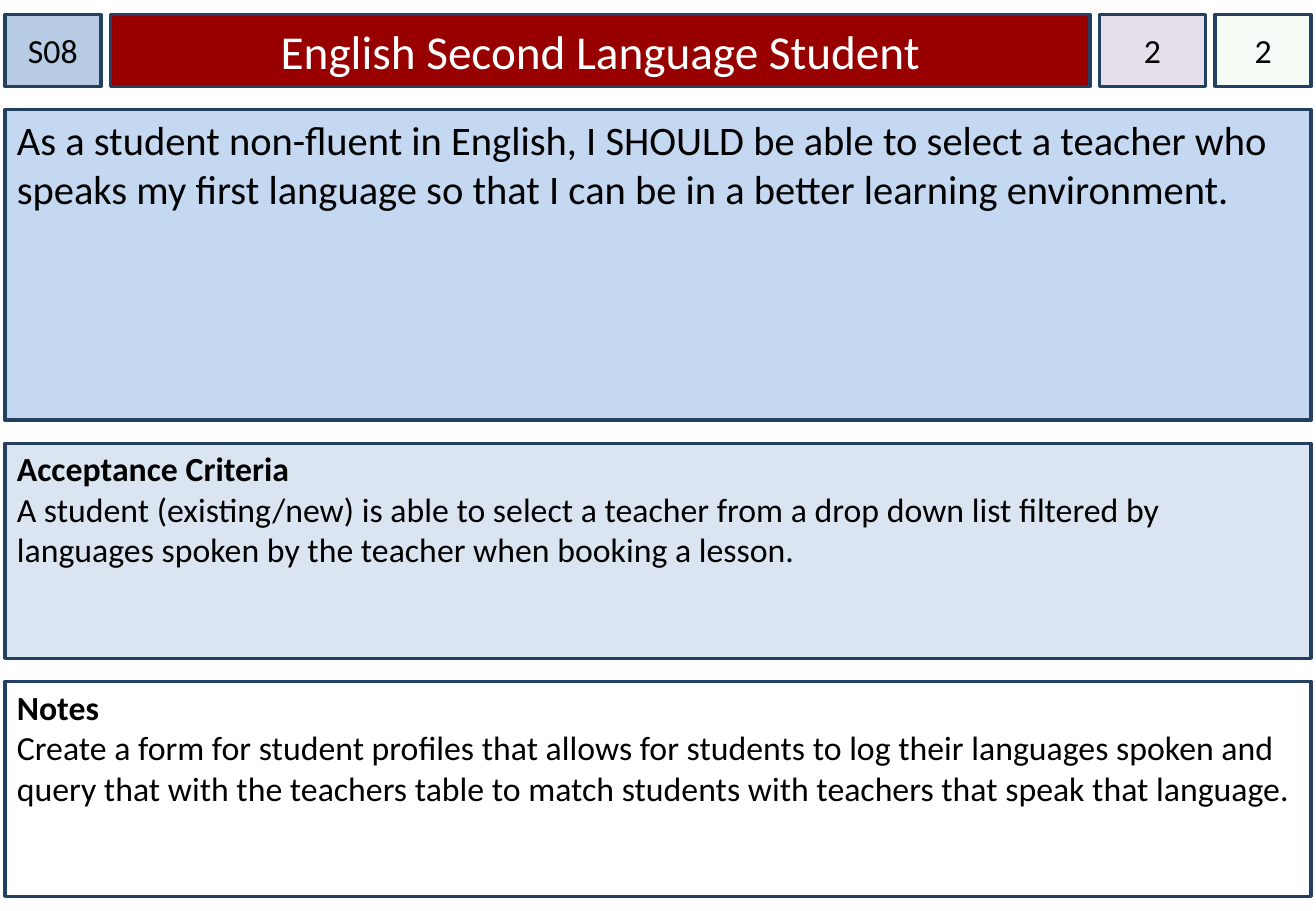
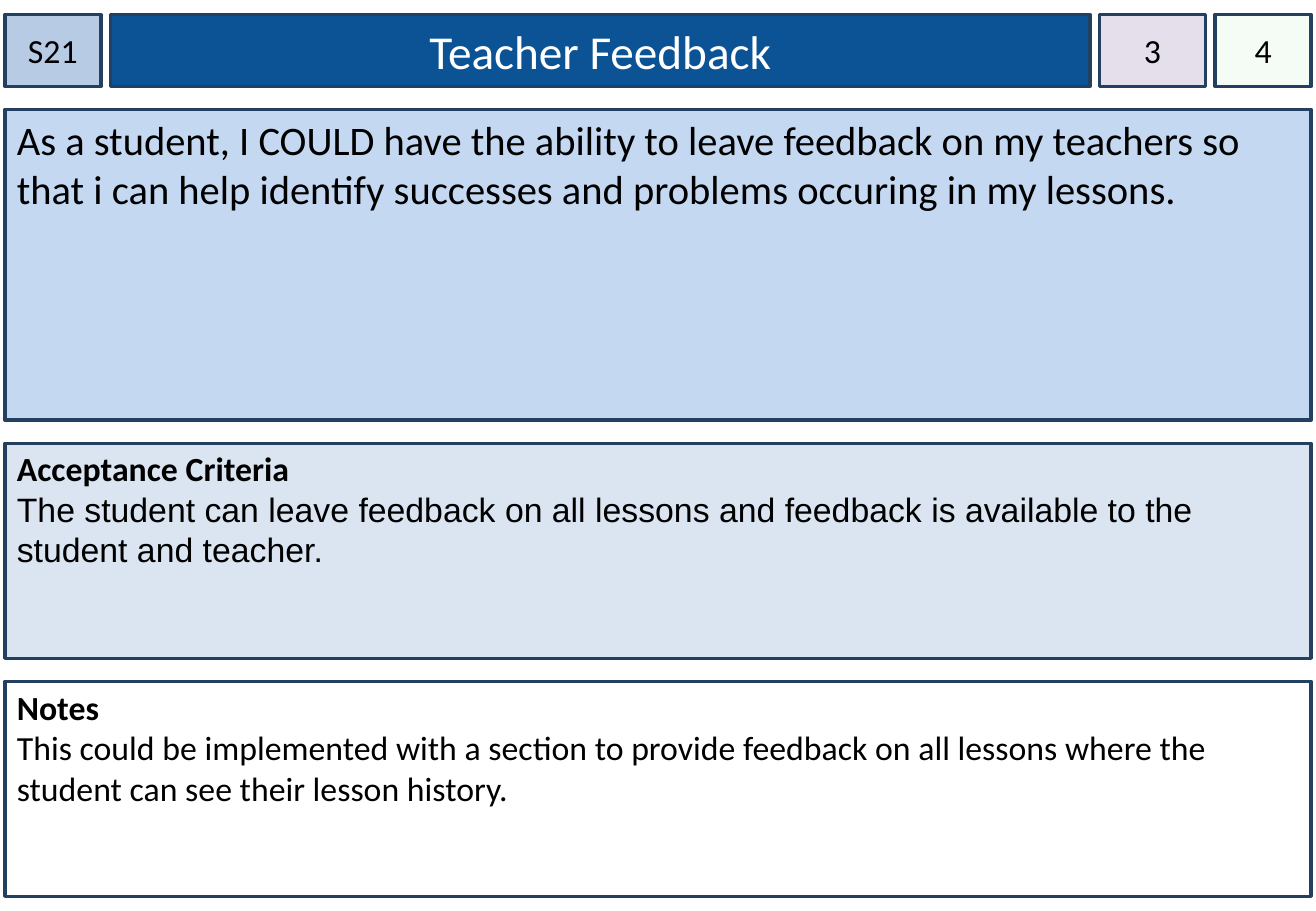
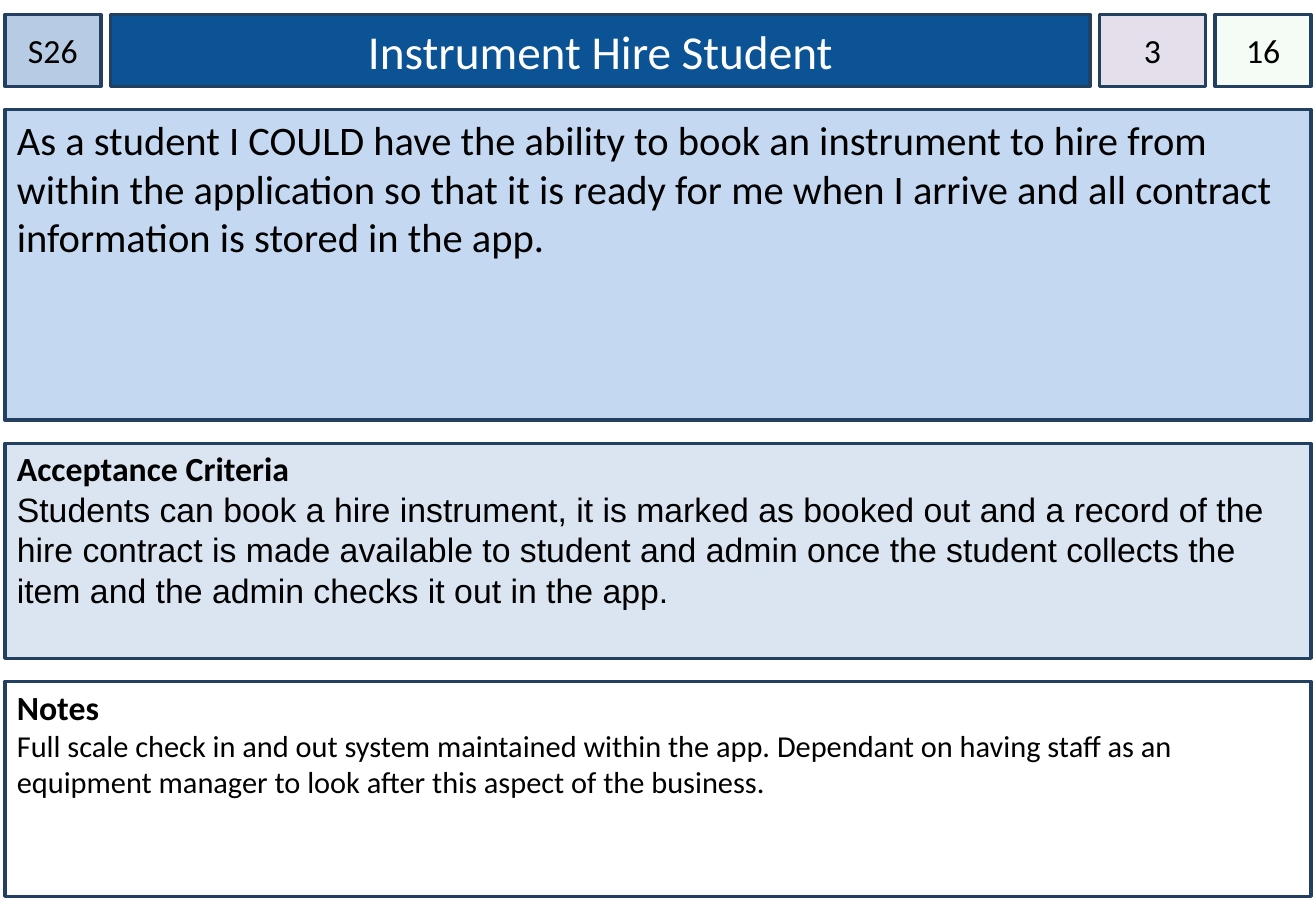
from pptx import Presentation
from pptx.dml.color import RGBColor
from pptx.enum.shapes import MSO_SHAPE as Shape
from pptx.enum.text import MSO_ANCHOR as Anchor, PP_ALIGN as Align
from pptx.oxml.ns import qn
from pptx.util import Inches, Pt
from lxml.etree import SubElement

BLACK, WHITE = "000000", "FFFFFF"
EDGE = "244061"
SHOULD, COULD = "980000", "0B5394"
CODE, RANK, POINTS = "B7CCE4", "E5DFEC", "CCF0CD"
STORY, TESTS = "C5D8F1", "DAE5F1"
SANS, ARIAL = "Calibri", "Arial"
HEAD = (0.04, 0.12, 10.75, 0.59)
BODY = (0.04, 0.9, 10.75, 6.48)

CARDS = [
    dict(code="S08", title="English Second Language Student", band=SHOULD,
         rank="2", points="2",
         story="As a student non-fluent in English, I SHOULD be able to select a teacher "
               "who speaks my first language so that I can be in a better learning environment.",
         tests=("A student (existing/new) is able to select a teacher from a drop down list "
                "filtered by languages spoken by the teacher when booking a lesson.", {}),
         notes=("Create a form for student profiles that allows for students to log their "
                "languages spoken and query that with the teachers table to match students "
                "with teachers that speak that language.", {})),
    dict(code="S21", title="Teacher Feedback", band=COULD, rank="3", points="4",
         story="As a student, I COULD have the ability to leave feedback on my teachers so "
               "that i can help identify successes and problems occuring in my lessons.",
         tests=("The student can leave feedback on all lessons and feedback is available to "
                "the student and teacher.", dict(face=ARIAL)),
         notes=("This could be implemented with a section to provide feedback on all lessons "
                "where the student can see their lesson history.", {})),
    dict(code="S26", title="Instrument Hire Student", band=COULD, rank="3", points="16",
         story="As a student I COULD have the ability to book an instrument to hire from "
               "within the application so that it is ready for me when I arrive and all "
               "contract information is stored in the app.",
         tests=("Students can book a hire instrument, it is marked as booked out and a record "
                "of the hire contract is made available to student and admin once the student "
                "collects the item and the admin checks it out in the app.", dict(face=ARIAL)),
         notes=("Full scale check in and out system maintained within the app. Dependant on "
                "having staff as an equipment manager to look after this aspect of the "
                "business.", dict(size=18))),
]


def tint(fmt, color, alpha=None):
    """Fill with a hex colour, optionally at a percentage of opacity."""
    fmt.solid()
    fmt.fore_color.rgb = RGBColor.from_string(color)
    if alpha is not None:
        node = fmt._xPr.find(qn("a:solidFill"))[0]
        SubElement(node, qn("a:alpha")).set("val", str(alpha * 1000))


def write(para, text, size=20, color=BLACK, face=SANS, bold=False, align=Align.LEFT):
    """Put formatted text in a paragraph."""
    para.alignment = align
    run = para.add_run()
    run.text = text
    font = run.font
    font.size, font.name, font.bold = Pt(size), face, bold
    tint(font.fill, color)


def panel(slide, box, color, alpha=None, anchor=Anchor.TOP, side=0.1, top=0.05):
    """Draw an outlined rectangle and return its text frame."""
    rect = slide.shapes.add_shape(Shape.RECTANGLE, *map(Inches, box))
    rect.shadow.inherit = False
    tint(rect.fill, color, alpha)
    tint(rect.line.fill, EDGE)
    rect.line.width = Pt(2)
    frame = rect.text_frame
    frame.word_wrap = True
    frame.vertical_anchor = anchor
    frame.margin_left = frame.margin_right = Inches(side)
    frame.margin_top, frame.margin_bottom = Inches(top), Inches(0.05)
    return frame


def header(slide, box, card):
    """Place the code, title, rank and points cells along the top row."""
    left, top, width, height = box
    gap, small, mid = 0.08, 0.79, 0.87
    wide = width - 2 * small - mid - 3 * gap
    cells = [
        (card["code"], small, CODE, None, 0, {}),
        (card["title"], wide, card["band"], None, 0.1, dict(size=28, color=WHITE)),
        (card["rank"], mid, RANK, None, 0, {}),
        (card["points"], small, POINTS, 20, 0, {}),
    ]
    for text, span, color, alpha, side, style in cells:
        frame = panel(slide, (left, top, span, height), color, alpha, Anchor.MIDDLE, side)
        write(frame.paragraphs[0], text, align=Align.CENTER, **style)
        left += span + gap


def body(slide, box, card):
    """Stack the story above the two headed panels."""
    left, top, width, height = box
    gap, tall = 0.19, 2.56
    low = (height - tall - 2 * gap) / 2
    frame = panel(slide, (left, top, width, tall), STORY)
    write(frame.paragraphs[0], card["story"], size=24)
    top += tall + gap
    for label, key, color in (("Acceptance Criteria", "tests", TESTS),
                              ("Notes", "notes", WHITE)):
        frame = panel(slide, (left, top, width, low), color, top=0.04)
        write(frame.paragraphs[0], label, bold=True)
        text, style = card[key]
        write(frame.add_paragraph(), text, **style)
        top += low + gap


def main():
    """Build one slide per story card."""
    deck = Presentation()
    deck.slide_width, deck.slide_height = Inches(10.83), Inches(7.5)
    for card in CARDS:
        slide = deck.slides.add_slide(deck.slide_layouts[6])
        header(slide, HEAD, card)
        body(slide, BODY, card)
    deck.save("out.pptx")


if __name__ == "__main__":
    main()
